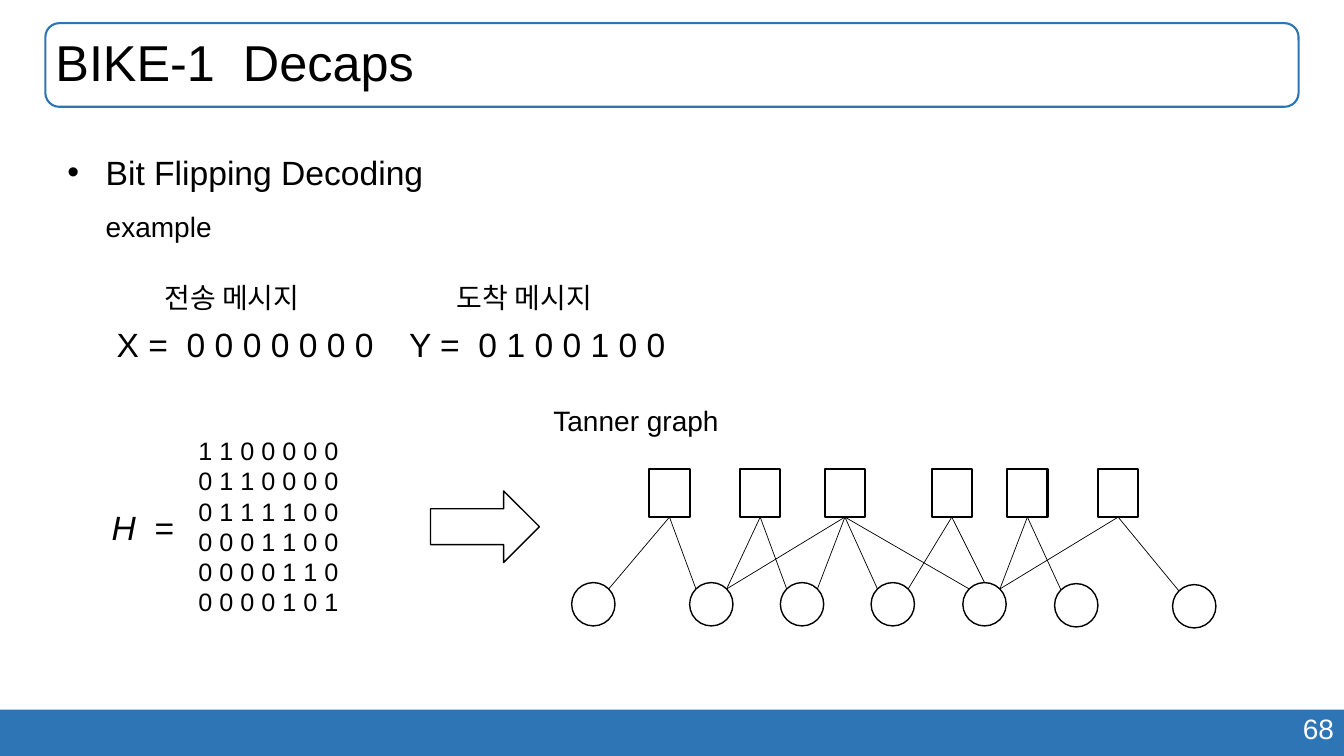
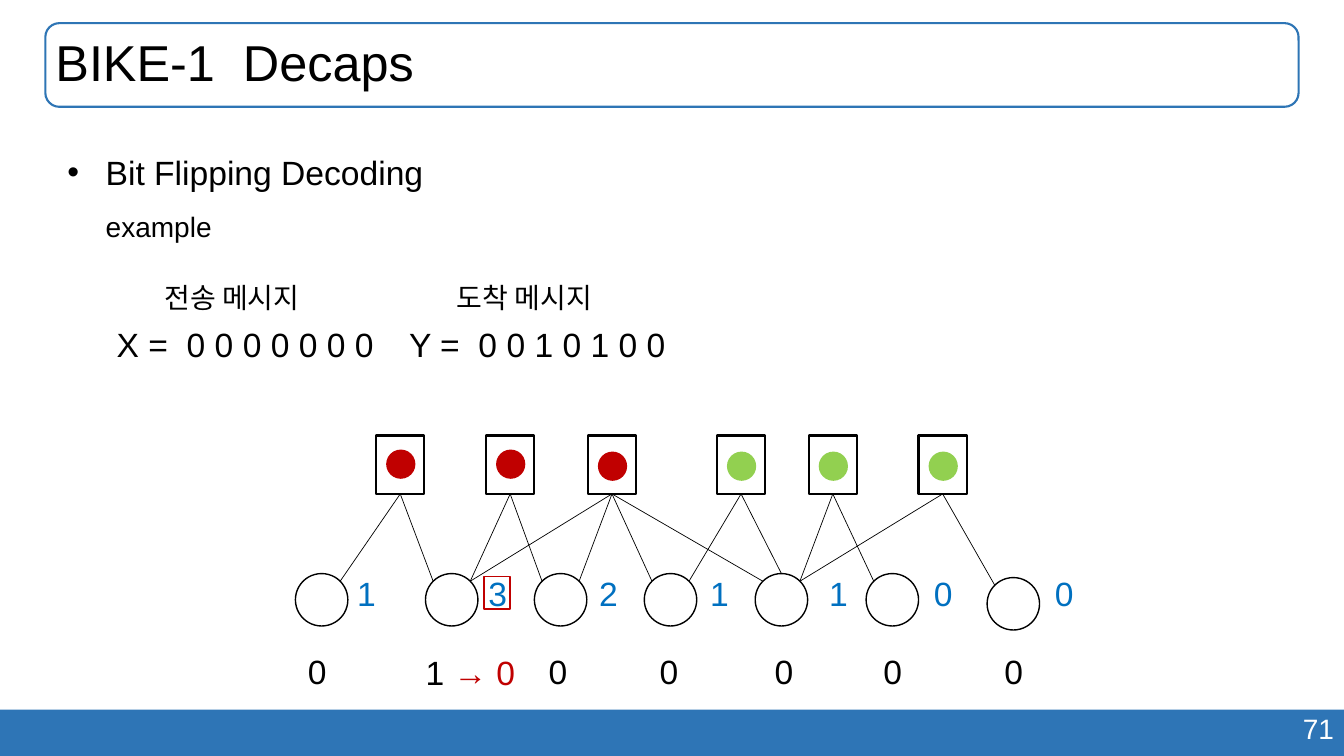
from dataclasses import dataclass
from math import sqrt

from lxml.etree import SubElement
from pptx import Presentation
from pptx.dml.color import RGBColor
from pptx.enum.shapes import MSO_CONNECTOR as CXN, MSO_SHAPE as SHAPE
from pptx.enum.text import MSO_ANCHOR as ANCHOR, MSO_AUTO_SIZE as FIT, PP_ALIGN as ALIGN
from pptx.oxml.ns import qn
from pptx.util import Inches, Pt


@dataclass(frozen=True)
class Theme:
    font: str = "Arial"
    black: str = "000000"
    white: str = "FFFFFF"
    band: str = "2E75B6"
    frame: str = "2E75B5"
    red: str = "C00000"
    green: str = "92D050"
    blue: str = "0070C0"
    title: int = 36
    body: int = 24
    label: int = 20
    matrix: int = 18


T = Theme()
TITLE_BOX = (0.45, 0.23, 12.43, 0.83)
H_ROWS = ("1100000", "0110000", "0111100", "0001100", "0000110", "0000101")


def spaced(bits):
    return " ".join(bits)


def add_run(p, text, size=T.body, color=T.black, **fmt):
    r = p.add_run()
    r.text = text
    for name, value in {"name": T.font, "size": Pt(size), **fmt}.items():
        setattr(r.font, name, value)
    r.font.color.rgb = RGBColor.from_string(color)


def add_text(s, box, lines, size=T.body, color=T.black, align=ALIGN.LEFT, wrap=False):
    tf = s.shapes.add_textbox(*map(Inches, box)).text_frame
    tf.word_wrap = wrap
    for i, line in enumerate(lines):
        p = tf.add_paragraph() if i else tf.paragraphs[0]
        p.alignment = align
        for text, fmt in line if isinstance(line, list) else [(line, {})]:
            add_run(p, text, **{"size": size, "color": color, **fmt})
    return tf


def add_shape(s, kind, box, fill=None, line=None, width=1):
    sp = s.shapes.add_shape(kind, *map(Inches, box))
    sp.shadow.inherit = False
    if fill:
        sp.fill.solid()
        sp.fill.fore_color.rgb = RGBColor.from_string(fill)
    else:
        sp.fill.background()
    if line:
        sp.line.color.rgb = RGBColor.from_string(line)
        sp.line.width = Pt(width)
    else:
        sp.line.fill.background()
    return sp


def add_edge(s, check, bit):
    start = check.left + check.width // 2
    center = bit.left + bit.width // 2
    x, y = center, bit.top
    if abs(center - start) > 0.85 * bit.width:
        reach = bit.width / 2 / sqrt(2)
        x += int(reach if center < start else -reach)
        y += int(bit.width / 2 - reach)
    c = s.shapes.add_connector(CXN.STRAIGHT, start, check.top + check.height, x, y)
    c.begin_connect(check, 2)
    c.line.color.rgb = RGBColor.from_string(T.black)
    c.line.width = Pt(0.5)
    SubElement(c._element.spPr, qn("a:effectLst"))


def add_tanner_graph(s, check_xs, check_y, check_size, bit_spots, diameter):
    checks = [add_shape(s, SHAPE.RECTANGLE, (x, check_y, *check_size), line=T.black, width=1.5)
              for x in check_xs]
    bits = [add_shape(s, SHAPE.OVAL, (x, y, diameter, diameter), T.white, T.black)
            for x, y in bit_spots]
    for check, row in zip(checks, H_ROWS):
        for bit, value in zip(bits, row):
            if value == "1":
                add_edge(s, check, bit)


def add_title(s, text):
    add_shape(s, SHAPE.ROUNDED_RECTANGLE, TITLE_BOX, line=T.frame, width=1.5)
    sp = s.shapes.title
    for name, value in zip(("left", "top", "width", "height"), TITLE_BOX):
        setattr(sp, name, Inches(value))
    tf = sp.text_frame
    for name, value in {"vertical_anchor": ANCHOR.MIDDLE, "auto_size": FIT.NONE}.items():
        setattr(tf, name, value)
    p = tf.paragraphs[0]
    p.alignment = ALIGN.LEFT
    p.line_spacing = 0.9
    add_run(p, text, T.title)


def add_topic(s, heading, detail):
    p = add_text(s, (0.45, 1.26, 12.43, 1.4), [heading], wrap=True).paragraphs[0]
    p.line_spacing = 1.5
    p.add_line_break()
    add_run(p, detail, T.label)
    pPr = p._p.get_or_add_pPr()
    for name, value in {"marL": Inches(0.5), "indent": Inches(-0.38)}.items():
        pPr.set(name, str(value))
    SubElement(pPr, qn("a:buFont")).set("typeface", T.font)
    SubElement(pPr, qn("a:buChar")).set("char", "•")


def add_message(s, x, caption, name, bits):
    add_text(s, (x + 0.4, 2.73, 1.68, 0.44), [caption], T.label, align=ALIGN.CENTER)
    add_text(s, (x, 3.16, 2.77, 0.5), [f"{name} =  {spaced(bits)}"])


def add_digit(s, x, y, text, color=T.black):
    add_text(s, (x, y, 0.39, 0.5), [text], color=color, align=ALIGN.CENTER)


def new_slide(prs, number, received):
    s = prs.slides.add_slide(prs.slide_layouts[5])
    add_shape(s, SHAPE.RECTANGLE, (0, 7.04, 13.33, 0.46), T.band)
    add_text(s, (9.43, 7.01, 3.9, 0.44), [number], T.label, T.white, ALIGN.RIGHT, True)
    add_title(s, "BIKE-1  Decaps")
    add_topic(s, "Bit Flipping Decoding", "example")
    add_message(s, 1.06, "전송 메시지", "X", "0000000")
    add_message(s, 3.96, "도착 메시지", "Y", received)
    return s


def build_matrix_slide(prs):
    s = new_slide(prs, "68", "0100100")
    add_text(s, (1.87, 4.27, 1.67, 1.92), map(spaced, H_ROWS), T.matrix)
    add_text(s, (1.01, 4.98, 0.92, 0.5), [[("H", {"italic": True}), ("  =", {})]])
    add_shape(s, SHAPE.RIGHT_ARROW, (4.27, 4.87, 1.08, 0.71), T.white, T.black)
    add_text(s, (5.39, 3.95, 1.85, 0.44), ["Tanner graph"], T.label)
    add_tanner_graph(
        s, (6.44, 7.34, 8.18, 9.24, 9.99, 10.89), 4.65, (0.4, 0.48),
        ((5.67, 5.78), (6.84, 5.78), (7.74, 5.78), (8.64, 5.78),
         (9.55, 5.78), (10.46, 5.79), (11.63, 5.8)), 0.43)


def build_flip_slide(prs):
    s = new_slide(prs, "71", "0010100")
    check_xs = (3.73, 4.82, 5.83, 7.11, 8.02, 9.11)
    add_tanner_graph(
        s, check_xs, 4.32, (0.48, 0.58),
        ((2.93, 5.69), (4.22, 5.69), (5.3, 5.69), (6.39, 5.69),
         (7.49, 5.69), (8.59, 5.69), (9.79, 5.73)), 0.52)
    for i, x in enumerate(check_xs):
        y = 4.46 if i < 2 else 4.48
        add_shape(s, SHAPE.OVAL, (x + 0.1, y, 0.29, 0.29), T.red if i < 3 else T.green)
    for x in (2.95, 5.34, 6.44, 7.58, 8.66, 9.86):
        add_digit(s, x, 6.41, "0")
    add_text(s, (4.12, 6.42, 1.09, 0.5), [[("1 ", {}), ("→ 0", {"color": T.red})]],
             align=ALIGN.CENTER)
    for x, votes in zip((3.44, 4.74, 5.84, 6.94, 8.12, 9.16, 10.36), "1321100"):
        add_digit(s, x, 5.63, votes, T.blue)
    add_shape(s, SHAPE.RECTANGLE, (4.8, 5.72, 0.26, 0.32), line=T.red)


def main():
    prs = Presentation()
    prs.slide_width, prs.slide_height = Inches(13.33), Inches(7.5)
    build_matrix_slide(prs)
    build_flip_slide(prs)
    prs.save("out.pptx")


if __name__ == "__main__":
    main()
